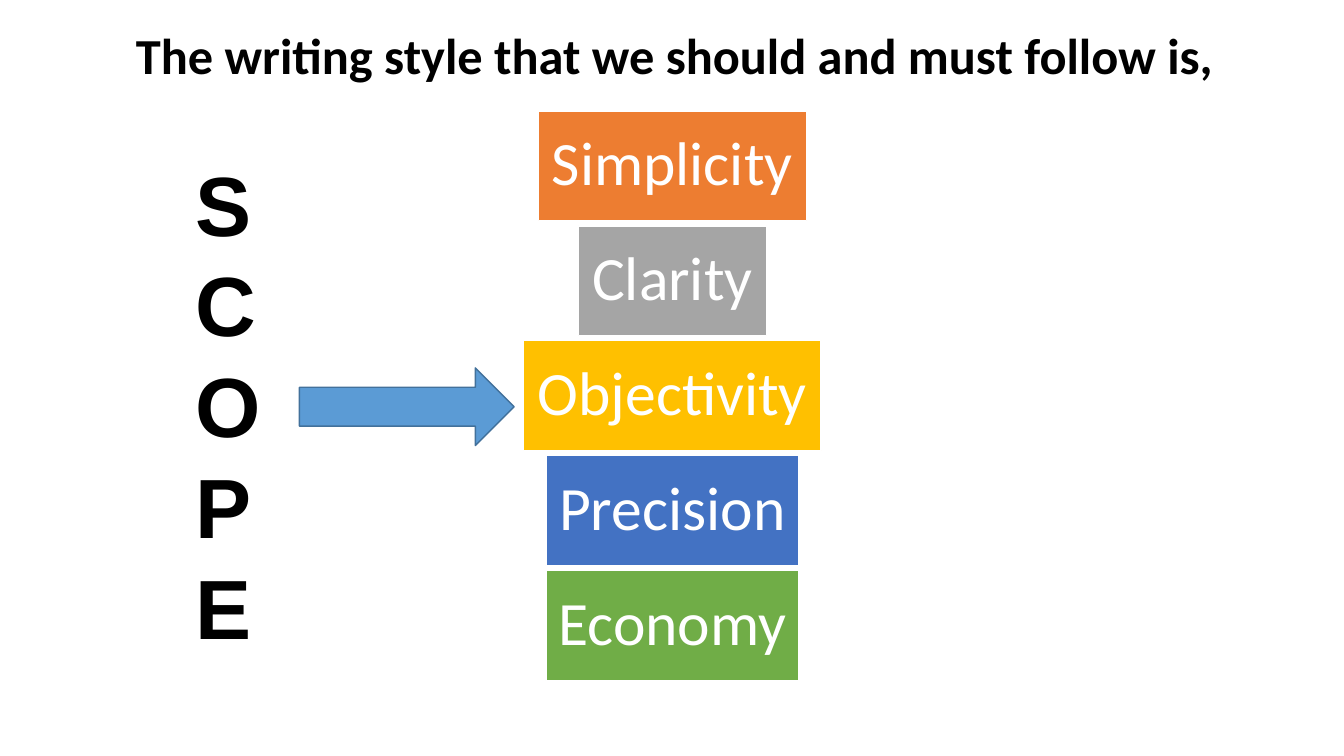
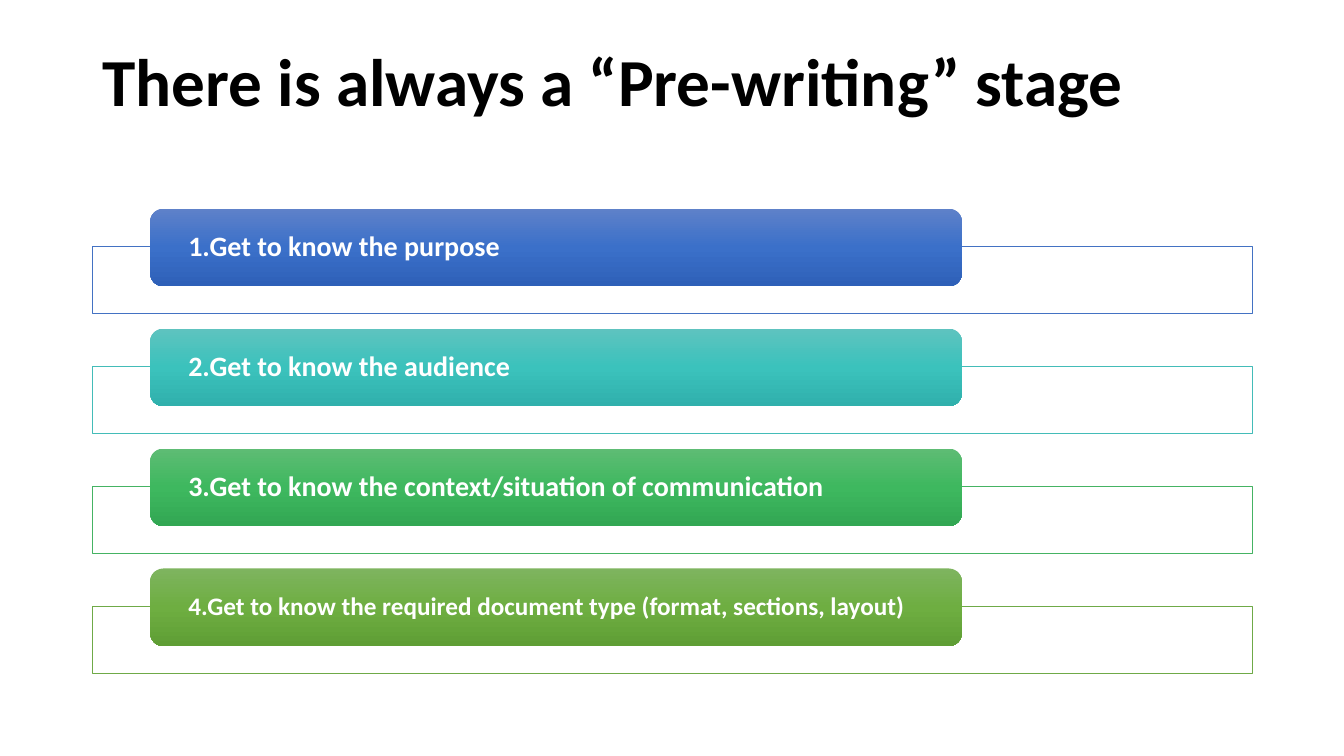
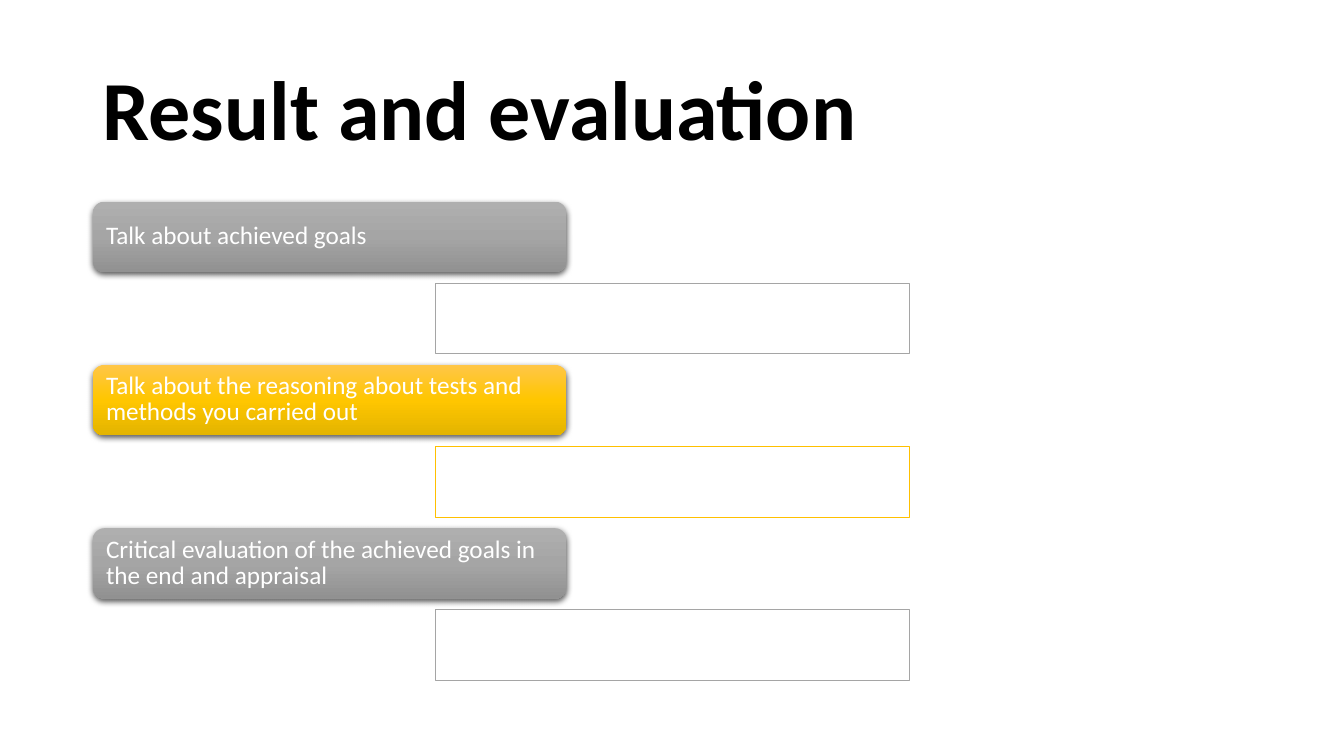
import copy

import lxml.etree
import pptx
import pptx.dml.color
import pptx.enum.shapes
import pptx.enum.text
import pptx.oxml.ns
import pptx.util

Inches = pptx.util.Inches
Pt = pptx.util.Pt
RGBColor = pptx.dml.color.RGBColor
Shape = pptx.enum.shapes.MSO_SHAPE
Align = pptx.enum.text.PP_ALIGN
Anchor = pptx.enum.text.MSO_ANCHOR
qn = pptx.oxml.ns.qn

BLACK = RGBColor(0x00, 0x00, 0x00)
WHITE = RGBColor(0xFF, 0xFF, 0xFF)
ORANGE = RGBColor(0xED, 0x7D, 0x31)
GRAY = RGBColor(0xA5, 0xA5, 0xA5)
GOLD = RGBColor(0xFF, 0xC0, 0x00)
BLUE = RGBColor(0x43, 0x72, 0xC3)
GREEN = RGBColor(0x70, 0xAD, 0x47)
ARROW_BLUE = RGBColor(0x5B, 0x9B, 0xD5)
ARROW_EDGE = RGBColor(0x42, 0x71, 0x9B)
TEAL_EDGE = RGBColor(0x43, 0xBC, 0xB8)
EMERALD_EDGE = RGBColor(0x45, 0xB3, 0x63)
LEAF_EDGE = RGBColor(0x6F, 0xAA, 0x47)

BLUE_FADE = (RGBColor(0x5E, 0x81, 0xC9), RGBColor(0x3B, 0x70, 0xC9), RGBColor(0x2E, 0x60, 0xB8))
TEAL_FADE = (RGBColor(0x5E, 0xC3, 0xBF), RGBColor(0x3B, 0xC2, 0xBC), RGBColor(0x30, 0xB0, 0xAC))
EMERALD_FADE = (RGBColor(0x5E, 0xBC, 0x74), RGBColor(0x3E, 0xB8, 0x5F), RGBColor(0x32, 0xA7, 0x53))
LEAF_FADE = (RGBColor(0x7E, 0xB4, 0x5F), RGBColor(0x6E, 0xAE, 0x41), RGBColor(0x5F, 0x9E, 0x35))
GRAY_FADE = (RGBColor(0xAF, 0xAF, 0xAF), GRAY, RGBColor(0x91, 0x91, 0x91))
GOLD_FADE = (RGBColor(0xFF, 0xC6, 0x47), RGBColor(0xFF, 0xC6, 0x00), RGBColor(0xE3, 0xB4, 0x00))

TITLE_FONT = {"name": "Calibri", "bold": True}
BODY_FONT = {"name": "Calibri", "bold": False}
LETTER_FONT = {"name": "Arial", "bold": True, "size": Pt(60)}


def write(shape, lines, font, color=WHITE, align=Align.LEFT, anchor=Anchor.MIDDLE,
          spacing=0.9, side=0.1, edge=0.05):
    frame = shape.text_frame
    frame_format = {
        "word_wrap": True, "vertical_anchor": anchor,
        "margin_left": Inches(side), "margin_right": Inches(side),
        "margin_top": Inches(edge), "margin_bottom": Inches(edge),
    }
    for attribute, value in frame_format.items():
        setattr(frame, attribute, value)
    frame.text = "\n".join(lines)
    for paragraph in frame.paragraphs:
        paragraph.alignment = align
        paragraph.line_spacing = spacing
        for attribute, value in font.items():
            setattr(paragraph.font, attribute, value)
        paragraph.font.color.rgb = color


def add_title(slide, text, size, box):
    title = slide.shapes.add_textbox(*map(Inches, box))
    write(title, [text], TITLE_FONT | {"size": Pt(size)}, BLACK)


def add_block(slide, kind, box, fill, edge, weight=1):
    block = slide.shapes.add_shape(kind, *map(Inches, box))
    block.shadow.inherit = False
    block.fill.solid()
    block.fill.fore_color.rgb = fill
    block.line.color.rgb = edge
    block.line.width = Pt(weight)
    return block


def add_frame(slide, box, edge):
    """Outlined box with a slightly transparent white fill."""
    frame = add_block(slide, Shape.RECTANGLE, box, WHITE, edge, 0.75)
    white = frame._element.spPr.find(qn("a:solidFill"))[0]
    lxml.etree.SubElement(white, qn("a:alpha"), val="90000")


def add_bar(slide, box, fade):
    """Rounded bar with a three-stop fade from top to bottom."""
    bar = slide.shapes.add_shape(Shape.ROUNDED_RECTANGLE, *map(Inches, box))
    bar.shadow.inherit = False
    bar.line.fill.background()
    bar.fill.gradient()
    bar.fill.gradient_angle = 270
    stop_list = bar._element.spPr.find(qn("a:gradFill")).find(qn("a:gsLst"))
    stop_list.append(copy.deepcopy(stop_list[-1]))
    for stop, position, color in zip(bar.fill.gradient_stops, (0, 0.5, 1), fade):
        stop.position = position
        stop.color.rgb = color
    return bar


def add_drop_shadow(shape):
    effects = shape._element.spPr.find(qn("a:effectLst"))
    shadow = lxml.etree.SubElement(
        effects, qn("a:outerShdw"), blurRad=str(Pt(4.5)), dist=str(Pt(1.5)),
        dir="5400000", algn="ctr", rotWithShape="0")
    color = lxml.etree.SubElement(shadow, qn("a:srgbClr"), val="000000")
    lxml.etree.SubElement(color, qn("a:alpha"), val="63000")


def add_qualities(slide, center, top, qualities):
    height, pitch = 1.09, 1.14
    for row, (quality, width, color) in enumerate(qualities):
        box = (center - width / 2, top + row * pitch, width, height)
        block = add_block(slide, Shape.RECTANGLE, box, color, WHITE)
        write(block, [quality], BODY_FONT | {"size": Pt(44)}, align=Align.CENTER)


def add_steps(slide, left, top, steps):
    pitch = 1.19
    for row, (step, size, edge, fade) in enumerate(steps):
        y = top + row * pitch
        add_frame(slide, (left, y + 0.38, 11.5, 0.66), edge)
        bar = add_bar(slide, (left + 0.57, y, 8.05, 0.77), fade)
        write(bar, [step], TITLE_FONT | {"size": Pt(size)}, side=0.34, edge=0)


def add_topics(slide, left, top, topics):
    width, height, pitch = 4.7, 0.7, 0.81
    for row, (topic, edge, fade) in enumerate(topics):
        y = top + 2 * row * pitch
        bar = add_bar(slide, (left, y, width, height), fade)
        add_drop_shadow(bar)
        write(bar, [topic], BODY_FONT | {"size": Pt(18)}, spacing=0.85)
        add_frame(slide, (left + 3.4, y + pitch, width, height), edge)


def build_scope(slide):
    add_title(slide, "The writing style that we should and must follow is,", 36,
              (1.25, 0.28, 11.5, 0.59))
    add_qualities(slide, 6.67, 1.1, [
        ("Simplicity", 2.66, ORANGE),
        ("Clarity", 1.87, GRAY),
        ("Objectivity", 2.95, GOLD),
        ("Precision", 2.51, BLUE),
        ("Economy", 2.51, GREEN),
    ])
    acronym = slide.shapes.add_textbox(*map(Inches, (1.84, 1.46, 1.3, 5.15)))
    write(acronym, "SCOPE", LETTER_FONT, BLACK, anchor=Anchor.TOP, spacing=Pt(72))
    add_block(slide, Shape.RIGHT_ARROW, (2.97, 3.65, 2.13, 0.77), ARROW_BLUE, ARROW_EDGE)


def build_prewriting(slide):
    add_title(slide, "There is always a “Pre-writing” stage", 48, (0.92, 0.4, 11.5, 0.88))
    add_steps(slide, 0.92, 2.07, [
        ("1.Get to know the purpose", 20, BLUE, BLUE_FADE),
        ("2.Get to know the audience", 20, TEAL_EDGE, TEAL_FADE),
        ("3.Get to know the context/situation of communication", 20,
         EMERALD_EDGE, EMERALD_FADE),
        ("4.Get to know the required document type (format, sections, layout)", 18,
         LEAF_EDGE, LEAF_FADE),
    ])


def build_results(slide):
    add_title(slide, "Result and evaluation", 60, (0.92, 0.4, 11.5, 1.45))
    add_topics(slide, 0.92, 2, [
        ("Talk about achieved goals", GRAY, GRAY_FADE),
        ("Talk about the reasoning about tests and methods you carried out", GOLD, GOLD_FADE),
        ("Critical evaluation of the achieved goals in the end and appraisal", GRAY, GRAY_FADE),
    ])


def main():
    deck = pptx.Presentation()
    deck.slide_width = Inches(13.33)
    deck.slide_height = Inches(7.5)
    blank = deck.slide_layouts[6]
    for build in (build_scope, build_prewriting, build_results):
        build(deck.slides.add_slide(blank))
    deck.save("out.pptx")


if __name__ == "__main__":
    main()
